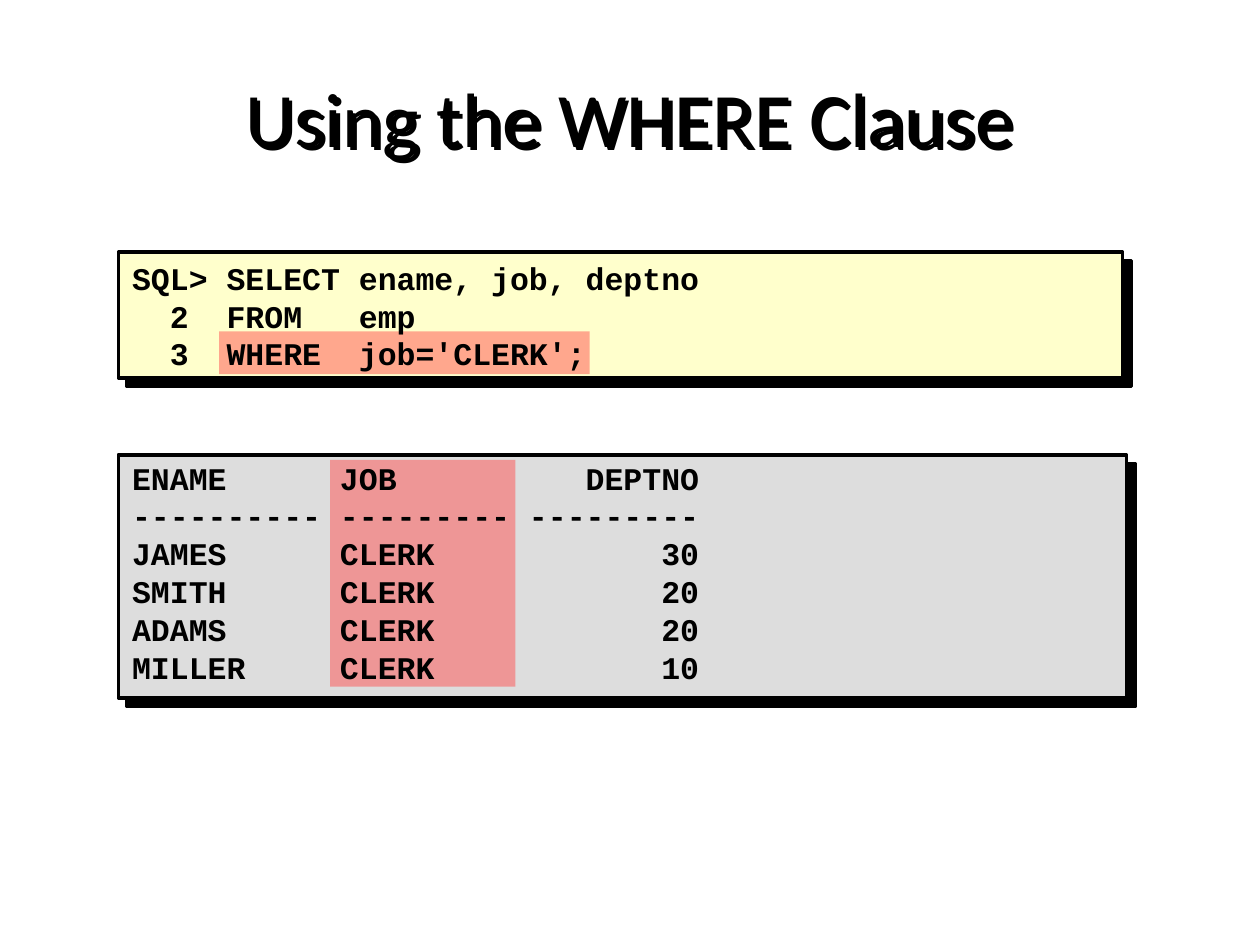
from lxml.etree import SubElement
from pptx import Presentation
from pptx.dml.color import RGBColor
from pptx.enum.shapes import MSO_SHAPE
from pptx.enum.text import MSO_ANCHOR, PP_ALIGN
from pptx.oxml.ns import qn
from pptx.util import Inches, Pt

COLORS = {"ink": "000000", "query": "FFFFCC", "result": "DDDDDD", "highlight": "FF5050"}

presentation = Presentation()
presentation.slide_width, presentation.slide_height = Inches(10), Inches(7.5)
slide = presentation.slides.add_slide(presentation.slide_layouts[6])
column = presentation.slide_width / 100
row = presentation.slide_height / 75


def place(left, top, width, height):
    """Turn grid columns and rows into slide lengths."""
    return [int(left * column), int(top * row), int(width * column), int(height * row)]


def add_hard_shadow(shape, distance):
    """Cast a solid black shadow down and to the right."""
    shape.shadow.inherit = False
    effects = shape._element.spPr.find(qn("a:effectLst"))
    shadow = SubElement(effects, qn("a:outerShdw"), dist=str(Pt(distance)),
                        dir="2700000", algn="ctr", rotWithShape="0")
    SubElement(shadow, qn("a:srgbClr"), val=COLORS["ink"])


# Panels
for name, area in [("query", (9.4, 20, 79.7, 10)), ("result", (9.4, 36.1, 80, 19.3))]:
    panel = slide.shapes.add_shape(MSO_SHAPE.RECTANGLE, *place(*area))
    panel.fill.solid()
    panel.fill.fore_color.rgb = RGBColor.from_string(COLORS[name])
    panel.line.color.rgb = RGBColor.from_string(COLORS["ink"])
    panel.line.width = Pt(2)
    add_hard_shadow(panel, 7.1)

# Half-transparent highlights on the WHERE line and the JOB column
for area in [(17.4, 26.3, 29.4, 3.4), (26.2, 36.5, 14.7, 18)]:
    highlight = slide.shapes.add_shape(MSO_SHAPE.RECTANGLE, *place(*area))
    highlight.shadow.inherit = False
    highlight.line.fill.background()
    highlight.fill.solid()
    highlight.fill.fore_color.rgb = RGBColor.from_string(COLORS["highlight"])
    color = highlight._element.spPr.find(qn("a:solidFill")).find(qn("a:srgbClr"))
    SubElement(color, qn("a:alpha"), val="50000")

# Title and code
title = "Using the WHERE Clause"
query = """SQL> SELECT ename, job, deptno
  2  FROM   emp
  3  WHERE  job='CLERK';"""
result = """ENAME      JOB          DEPTNO
---------- --------- ---------
JAMES      CLERK            30
SMITH      CLERK            20
ADAMS      CLERK            20
MILLER     CLERK            10"""

texts = [
    (title, (5, 3, 90, 12.5), "Calibri", 44, False, PP_ALIGN.CENTER, MSO_ANCHOR.MIDDLE),
    (query, (9.5, 19.9, 80, 10.3), "Courier New", 18, True, PP_ALIGN.LEFT, MSO_ANCHOR.MIDDLE),
    (result, (9.5, 35.9, 80.3, 19), "Courier New", 18, True, PP_ALIGN.LEFT, MSO_ANCHOR.TOP),
]
for text, area, font_name, size, bold, alignment, anchor in texts:
    box = slide.shapes.add_textbox(*place(*area))
    box.text_frame.word_wrap = True
    box.text_frame.vertical_anchor = anchor
    box.text_frame.text = text
    for paragraph in box.text_frame.paragraphs:
        paragraph.alignment = alignment
        for run in paragraph.runs:
            run.font.name = font_name
            run.font.size = Pt(size)
            run.font.bold = bold
            run.font.color.rgb = RGBColor.from_string(COLORS["ink"])
    if text == title:
        add_hard_shadow(box, 2.8)

presentation.save("out.pptx")
